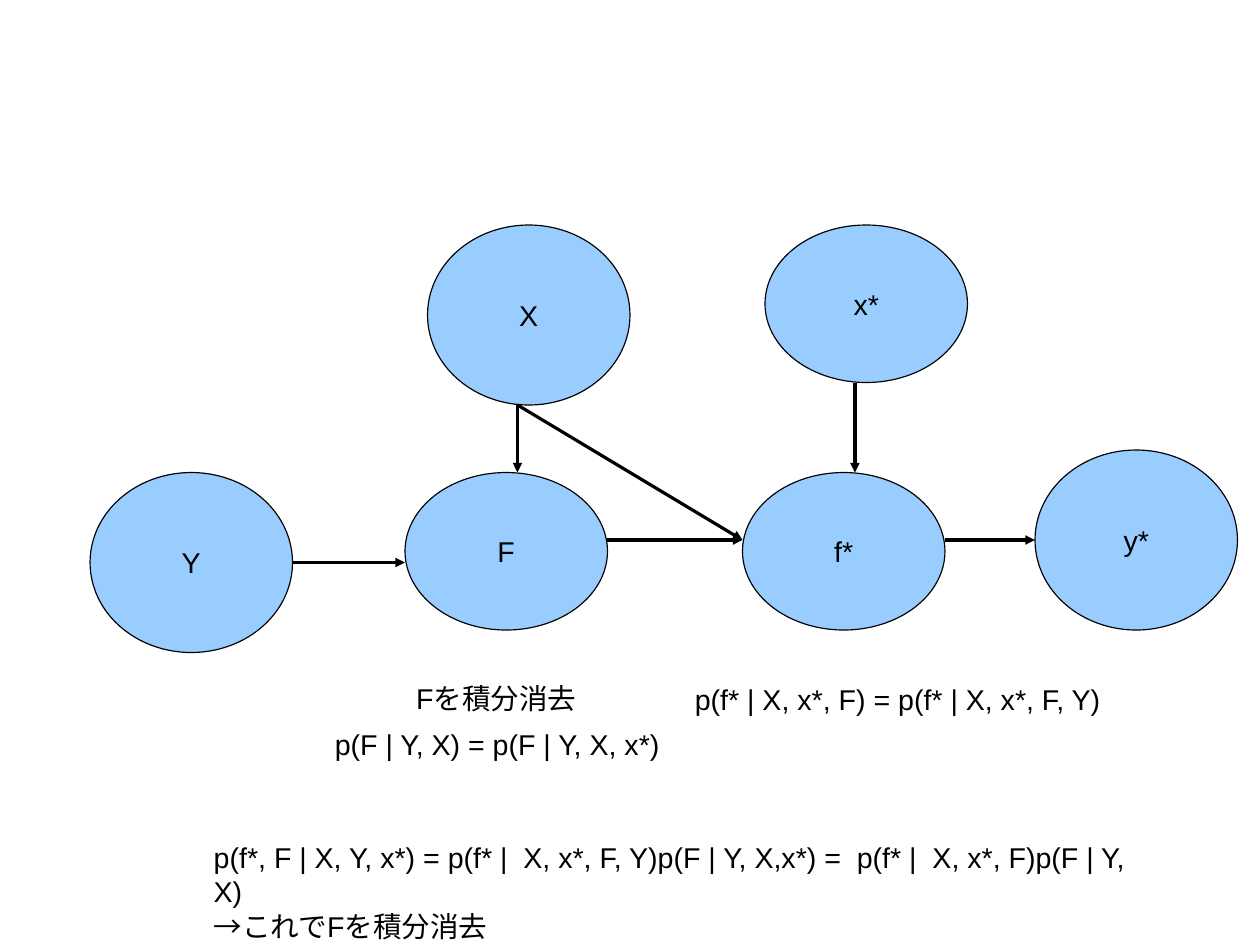
import dataclasses

import pptx
import pptx.dml.color
import pptx.enum.shapes
import pptx.enum.text
import pptx.oxml
import pptx.oxml.ns
import pptx.util

Pt = pptx.util.Pt


@dataclasses.dataclass(frozen=True)
class Theme:
    ink: pptx.dml.color.RGBColor = pptx.dml.color.RGBColor(0x00, 0x00, 0x00)
    node: pptx.dml.color.RGBColor = pptx.dml.color.RGBColor(0x99, 0xCC, 0xFF)
    font: str = "Arial"
    size: int = 18
    hairline: int = 0


THEME = Theme()
GRID = 14.17  # half a centimetre in points


def write(frame, text, align=pptx.enum.text.PP_ALIGN.LEFT,
          anchor=pptx.enum.text.MSO_ANCHOR.TOP, wrap=True):
    frame.text = text
    frame.word_wrap = wrap
    frame.vertical_anchor = anchor
    for paragraph in frame.paragraphs:
        paragraph.alignment = align
        font = paragraph.runs[0].font
        font.name = THEME.font
        font.size = Pt(THEME.size)
        font.color.rgb = THEME.ink


deck = pptx.Presentation()
deck.slide_width = Pt(56 * GRID)
deck.slide_height = Pt(42 * GRID)
slide = deck.slides.add_slide(deck.slide_layouts[6])

# Variables of the model: left, top, width, height in grid steps
variables = [
    ("F", 18, 21, 9, 7),
    ("Y", 4, 21, 9, 8),
    ("X", 19, 10, 9, 8),
    ("f*", 33, 21, 9, 7),
    ("x*", 34, 10, 9, 7),
    ("y*", 46, 20, 9, 8),
]
for label, *box in variables:
    variable = slide.shapes.add_shape(
        pptx.enum.shapes.MSO_SHAPE.OVAL, *[Pt(step * GRID) for step in box])
    variable.shadow.inherit = False
    variable.fill.solid()
    variable.fill.fore_color.rgb = THEME.node
    variable.line.color.rgb = THEME.ink
    variable.line.width = Pt(THEME.hairline)
    write(variable.text_frame, label, align=pptx.enum.text.PP_ALIGN.CENTER,
          anchor=pptx.enum.text.MSO_ANCHOR.MIDDLE)

# Dependencies: start x, y and end x, y in grid steps
dependencies = [
    (23, 18, 23, 21),  # X to F
    (13, 25, 18, 25),  # Y to F
    (27, 24, 33, 24),  # F to f*
    (23, 18, 33, 24),  # X to f*
    (38, 17, 38, 21),  # x* to f*
    (42, 24, 46, 24),  # f* to y*
]
for ends in dependencies:
    dependency = slide.shapes.add_connector(
        pptx.enum.shapes.MSO_CONNECTOR.STRAIGHT, *[Pt(step * GRID) for step in ends])
    dependency.line.color.rgb = THEME.ink
    dependency.line.width = Pt(THEME.hairline)
    outline = dependency.line._get_or_add_ln()
    outline.append(pptx.oxml.parse_xml(
        f'<a:tailEnd {pptx.oxml.ns.nsdecls("a")} type="triangle"/>'))
    outline.addnext(pptx.oxml.parse_xml(
        f'<a:effectLst {pptx.oxml.ns.nsdecls("a")}/>'))

# Formulas: left, top, width, height in points, and wrapping
formulas = [
    ("Fを積分消去", 255, 425.2, 156, 33, True),
    ("p(f* | X, x*, F) = p(f* | X, x*, F, Y)", 430.5, 426.2, 270, 27.4, False),
    ("p(F | Y, X) = p(F | Y, X, x*)", 203.8, 454.3, 219, 27.4, False),
    ("p(f*, F | X, Y, x*) = p(f* |  X, x*, F, Y)p(F | Y, X,x*) =  "
     "p(f* |  X, x*, F)p(F | Y, X)\n→これでFを積分消去",
     127.5, 525.5, 611.3, 53.3, False),
]
for text, left, top, width, height, wrap in formulas:
    formula = slide.shapes.add_textbox(Pt(left), Pt(top), Pt(width), Pt(height))
    write(formula.text_frame, text, wrap=wrap)
    formula.text_frame.auto_size = pptx.enum.text.MSO_AUTO_SIZE.SHAPE_TO_FIT_TEXT

deck.save("out.pptx")
